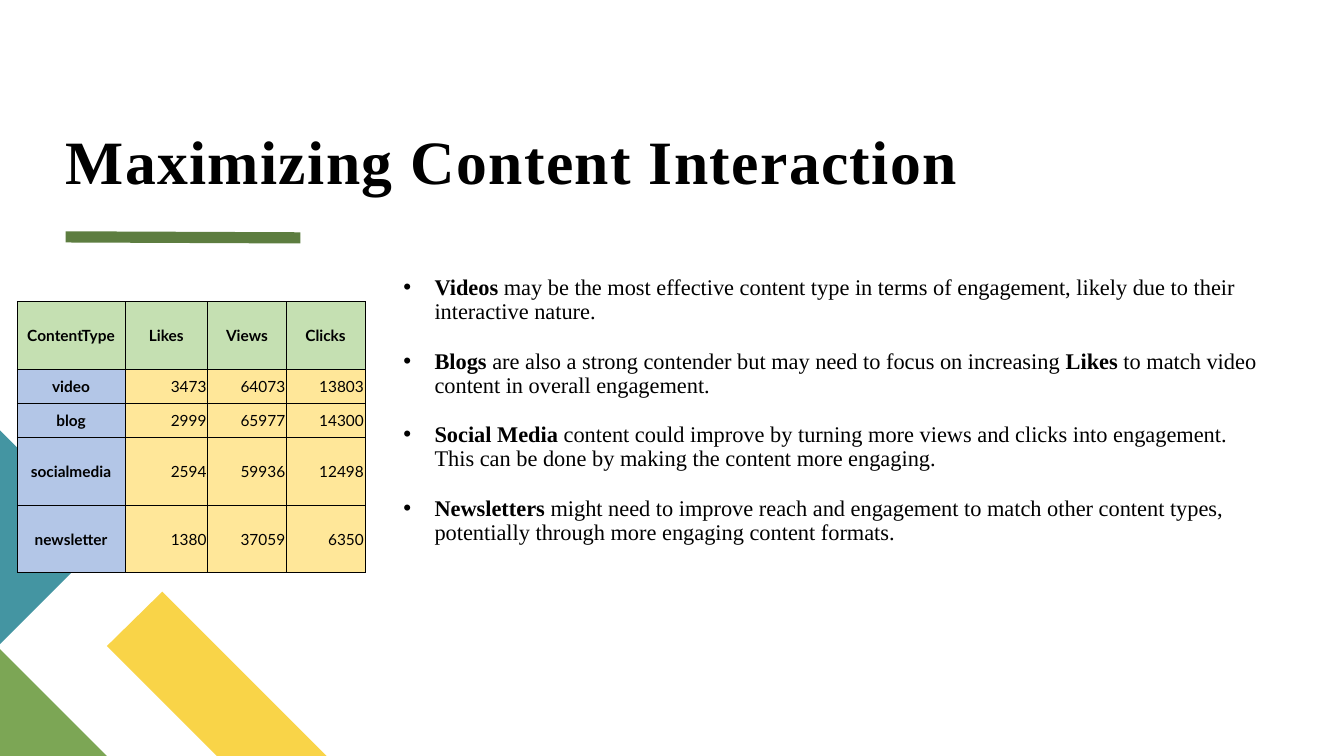
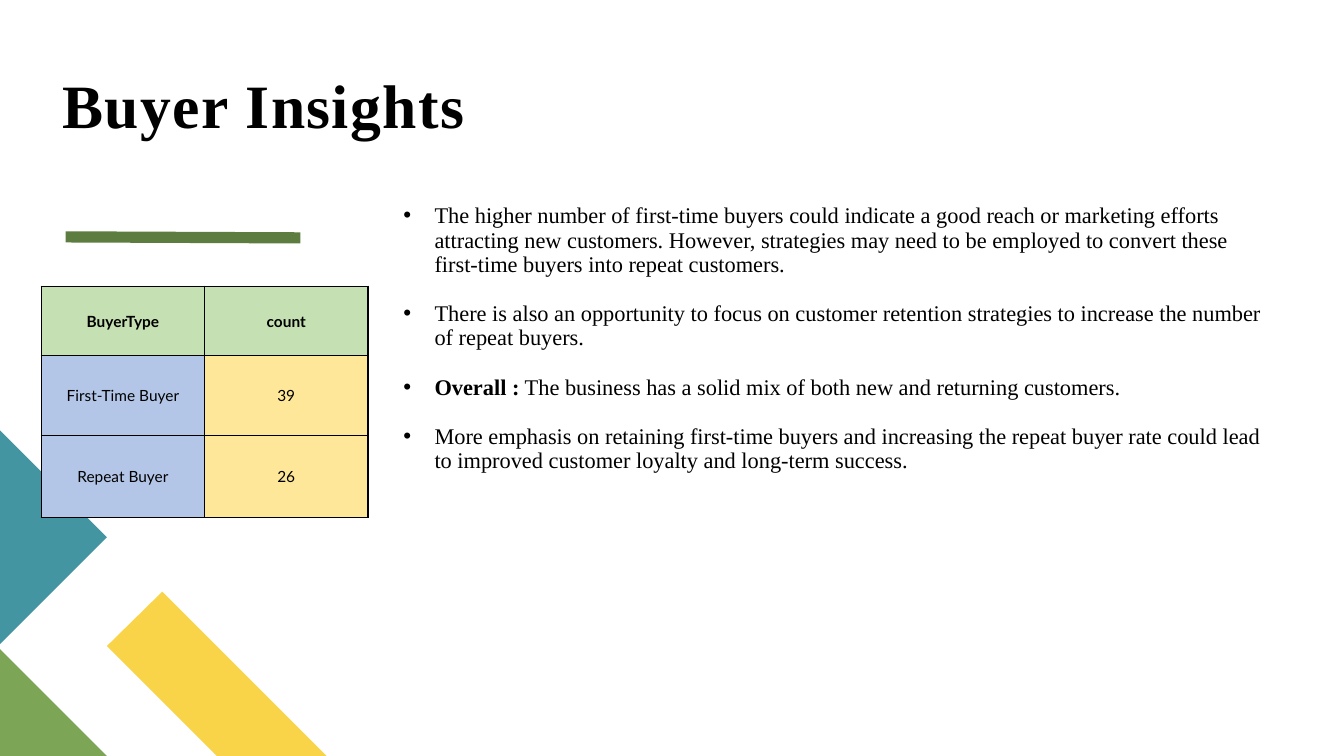
import pptx
import pptx.dml.color
import pptx.enum.shapes
import pptx.enum.text
import pptx.oxml
import pptx.oxml.ns
import pptx.util

Inches = pptx.util.Inches
Pt = pptx.util.Pt
RGBColor = pptx.dml.color.RGBColor
Align = pptx.enum.text.PP_ALIGN
Anchor = pptx.enum.text.MSO_ANCHOR
qn = pptx.oxml.ns.qn

# Shared style
BLACK = RGBColor(0x00, 0x00, 0x00)
DARK_GREEN = RGBColor(0x5D, 0x7D, 0x40)
YELLOW = RGBColor(0xF9, 0xD4, 0x48)
GREEN = RGBColor(0x7C, 0xA6, 0x55)
TEAL = RGBColor(0x44, 0x95, 0xA2)
HEADER_FILL = RGBColor(0xC5, 0xE0, 0xB2)
LABEL_FILL = RGBColor(0xB3, 0xC6, 0xE7)
VALUE_FILL = RGBColor(0xFF, 0xE7, 0x99)
TEXT_FONT = "Times New Roman"
TABLE_FONT = "Lato"
INNER_BORDER = 0.5

# Corner decoration: colour and outline points in inches
CORNER_SHAPES = [
    (YELLOW, [(3.24, 7.5), (2.15, 7.5), (1.06, 6.41), (1.61, 5.87)]),
    (GREEN, [(1.06, 7.5), (0, 7.5), (0, 6.44)]),
    (TEAL, [(0, 4.27), (1.06, 5.33), (0, 6.39)]),
]

# Slide content; ** switches bold on and off
CONTENT_POINTS = [
    "**Videos** may be the most effective content type in terms of engagement, "
    "likely due to their interactive nature.",
    "**Blogs** are also a strong contender but may need to focus on increasing "
    "**Likes** to match video content in overall engagement.",
    "**Social Media** content could improve by turning more views and clicks into "
    "engagement. This can be done by making the content more engaging.",
    "**Newsletters** might need to improve reach and engagement to match other "
    "content types, potentially through more engaging content formats.",
]
CONTENT_ROWS = [
    ("ContentType", "Likes", "Views", "Clicks"),
    ("video", "3473", "64073", "13803"),
    ("blog", "2999", "65977", "14300"),
    ("socialmedia", "2594", "59936", "12498"),
    ("newsletter", "1380", "37059", "6350"),
]
BUYER_POINTS = [
    "The higher number of first-time buyers could indicate a good reach or marketing "
    "efforts attracting new customers. However, strategies may need to be employed to "
    "convert these first-time buyers into repeat customers.",
    "There is also an opportunity to focus on customer retention strategies to "
    "increase the number of repeat buyers.",
    "**Overall :** The business has a solid mix of both new and returning customers.",
    "More emphasis on retaining first-time buyers and increasing the repeat buyer rate "
    "could lead to improved customer loyalty and long-term success.",
]
BUYER_ROWS = [
    ("BuyerType", "count"),
    ("First-Time Buyer", "39"),
    ("Repeat Buyer", "26"),
]


def place(shape, left, top, width, height):
    shape.left, shape.top = Inches(left), Inches(top)
    shape.width, shape.height = Inches(width), Inches(height)


def set_margins(target, left, top, right, bottom):
    target.margin_left, target.margin_top = Inches(left), Inches(top)
    target.margin_right, target.margin_bottom = Inches(right), Inches(bottom)


def style_font(font, name, size, bold=False):
    font.name = name
    font.size = Pt(size)
    font.bold = bold
    font.color.rgb = BLACK


def prepare_frame(shape, anchor, top_margin):
    frame = shape.text_frame
    frame.word_wrap = True
    frame.auto_size = pptx.enum.text.MSO_AUTO_SIZE.NONE
    frame.vertical_anchor = anchor
    set_margins(frame, 0, top_margin, 0, 0)
    return frame


def add_title(slide, text, box):
    title = slide.shapes.title
    place(title, *box)
    paragraph = prepare_frame(title, Anchor.BOTTOM, 0).paragraphs[0]
    paragraph.alignment = Align.LEFT
    paragraph.line_spacing = 0.8
    style_font(paragraph.font, TEXT_FONT, 44, True)
    run = paragraph.add_run()
    run.text = text
    run.font.bold = True
    run._r.get_or_add_rPr().set("spc", "100")


def add_bullets(slide, points, top, height):
    body = slide.placeholders[1]
    place(body, 4, top, 8.54, height)
    frame = prepare_frame(body, Anchor.TOP, 0.25)
    for index, point in enumerate(points):
        paragraph = frame.add_paragraph() if index else frame.paragraphs[0]
        paragraph.line_spacing = 0.9
        paragraph.space_before = Pt(18)
        style_font(paragraph.font, TEXT_FONT, 16)
        properties = paragraph._p.get_or_add_pPr()
        properties.set("marL", str(Inches(0.31)))
        properties.set("indent", str(-Inches(0.31)))
        for part, text in enumerate(point.split("**")):
            if text:
                run = paragraph.add_run()
                run.text = text
                run.font.bold = part % 2 == 1


def add_rule(slide):
    rule = slide.shapes.add_connector(
        pptx.enum.shapes.MSO_CONNECTOR.STRAIGHT,
        Inches(0.65), Inches(2.35), Inches(2.98), Inches(2.36))
    rule.line.color.rgb = DARK_GREEN
    rule.line.width = Pt(8)
    rule._element.spPr.append(pptx.oxml.parse_xml(
        f"<a:effectLst {pptx.oxml.ns.nsdecls('a')}/>"))


def add_corner(slide):
    group = slide.shapes.add_group_shape()
    for color, points in CORNER_SHAPES:
        start, *others = [(Inches(x), Inches(y)) for x, y in points]
        builder = group.shapes.build_freeform(*start)
        builder.add_line_segments(others, close=True)
        shape = builder.convert_to_shape()
        shape.shadow.inherit = False
        shape.fill.solid()
        shape.fill.fore_color.rgb = color
        shape.line.fill.background()


def set_borders(cell, widths):
    properties = cell._tc.get_or_add_tcPr()
    for side, width in widths.items():
        properties.append(pptx.oxml.parse_xml(
            f"<a:ln{side} {pptx.oxml.ns.nsdecls('a')} w='{Pt(width)}'>"
            f"<a:solidFill><a:srgbClr val='{BLACK}'/></a:solidFill></a:ln{side}>"))


def style_cell(cell, text, fill, alignment, bold):
    cell.fill.solid()
    cell.fill.fore_color.rgb = fill
    cell.vertical_anchor = Anchor.MIDDLE
    set_margins(cell, 0.01, 0.01, 0.01, 0)
    paragraph = cell.text_frame.paragraphs[0]
    paragraph.alignment = alignment
    style_font(paragraph.font, TABLE_FONT, 11, bold)
    paragraph.add_run().text = text


def add_data_table(slide, rows, left, top, widths, heights,
                   value_alignment, bold_labels, outer_border):
    table = slide.shapes.add_table(
        len(rows), len(widths), Inches(left), Inches(top),
        Inches(sum(widths)), Inches(sum(heights))).table
    table.first_row = table.horz_banding = False
    for column, width in zip(table.columns, widths):
        column.width = Inches(width)
    for row, height in zip(table.rows, heights):
        row.height = Inches(height)

    last_row, last_column = len(rows) - 1, len(widths) - 1
    for row_index, values in enumerate(rows):
        for column_index, text in enumerate(values):
            cell = table.cell(row_index, column_index)
            on_edge = {"L": column_index == 0, "R": column_index == last_column,
                       "T": row_index == 0, "B": row_index == last_row}
            set_borders(cell, {side: outer_border if edge else INNER_BORDER
                               for side, edge in on_edge.items()})
            if row_index == 0:
                style_cell(cell, text, HEADER_FILL, Align.CENTER, True)
            elif column_index == 0:
                style_cell(cell, text, LABEL_FILL, Align.CENTER, bold_labels)
            else:
                style_cell(cell, text, VALUE_FILL, value_alignment, False)


def add_base_slide(presentation, title, title_box):
    slide = presentation.slides.add_slide(presentation.slide_layouts[1])
    add_rule(slide)
    add_title(slide, title, title_box)
    add_corner(slide)
    return slide


def main():
    presentation = pptx.Presentation()
    presentation.slide_width = Inches(13.33)
    presentation.slide_height = Inches(7.5)

    # Content interaction
    slide = add_base_slide(presentation, "Maximizing Content Interaction",
                           (0.65, 0.11, 11.89, 1.84))
    add_bullets(slide, CONTENT_POINTS, 2.49, 4.05)
    add_data_table(slide, CONTENT_ROWS, 0.17, 2.99, [1.07, 0.82, 0.78, 0.78],
                   [0.67, 0.34, 0.34, 0.67, 0.67], Align.RIGHT, True, INNER_BORDER)

    # Buyer insights
    slide = add_base_slide(presentation, "Buyer Insights", (0.62, 0.3, 11.73, 1.09))
    add_bullets(slide, BUYER_POINTS, 1.78, 4.76)
    add_data_table(slide, BUYER_ROWS, 0.41, 2.84, [1.62, 1.62],
                   [0.68, 0.8, 0.81], Align.CENTER, False, 1)

    presentation.save("out.pptx")


if __name__ == "__main__":
    main()
